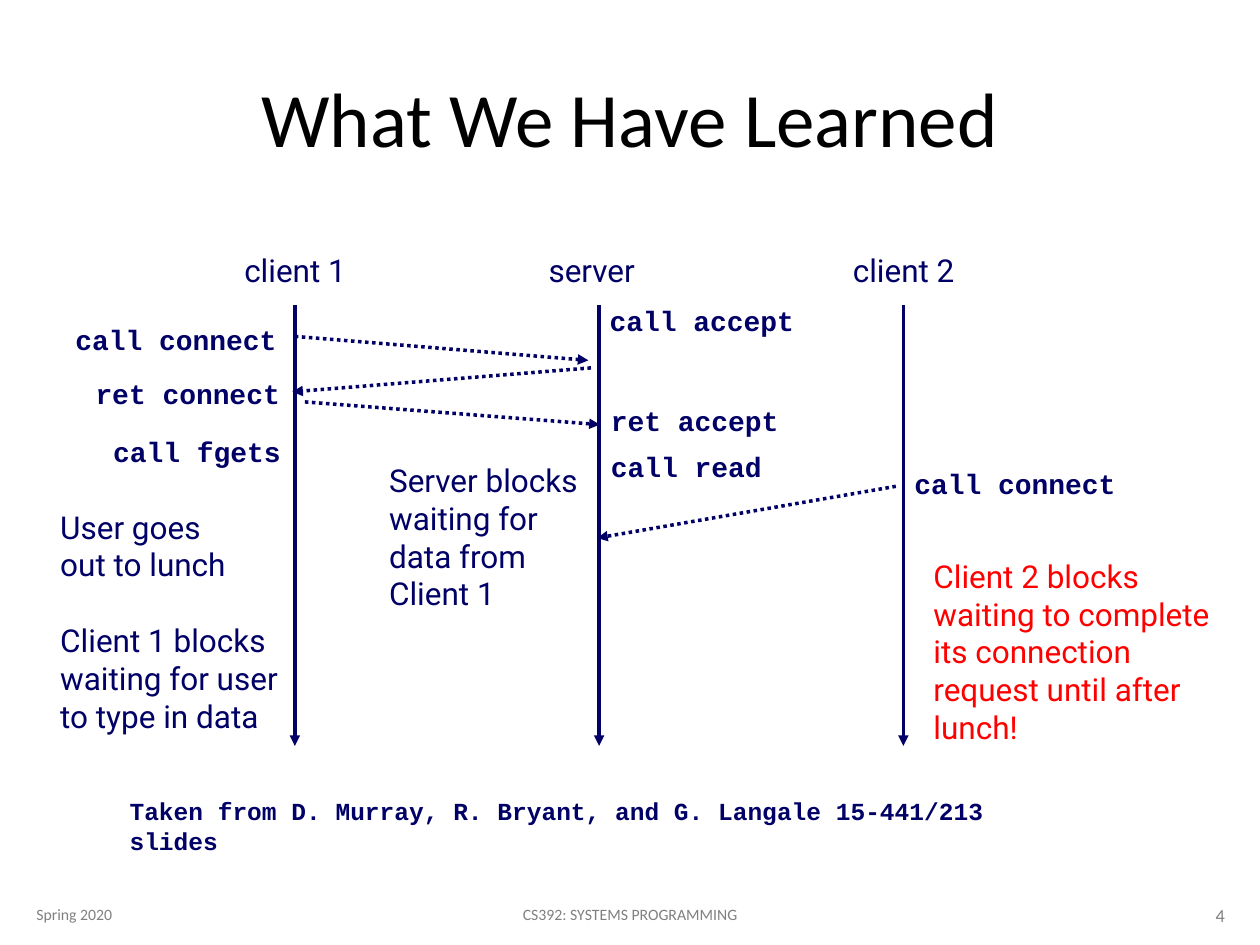
from lxml import etree
from pptx import Presentation
from pptx.dml.color import RGBColor
from pptx.enum.dml import MSO_LINE
from pptx.enum.shapes import MSO_CONNECTOR
from pptx.enum.text import MSO_ANCHOR, MSO_AUTO_SIZE, PP_ALIGN
from pptx.oxml.ns import qn
from pptx.util import Inches, Pt

STRAIGHT = MSO_CONNECTOR.STRAIGHT
DOTTED = MSO_LINE.ROUND_DOT
TOP, MIDDLE = MSO_ANCHOR.TOP, MSO_ANCHOR.MIDDLE
LEFT, CENTER, RIGHT = PP_ALIGN.LEFT, PP_ALIGN.CENTER, PP_ALIGN.RIGHT
NO_AUTOFIT = MSO_AUTO_SIZE.NONE

CELL = 0.1  # the slide is a grid of 100 columns by 75 rows
COLUMNS, ROWS = 100, 75
LINE_HEIGHT = 3  # rows per line of body text
NAVY, RED, BLACK, GRAY = "000066", "FF0000", "000000", "808080"
BODY, CODE, HEADING = "Roboto", "Courier New", "Calibri"


def grid(cells):
    return Inches(cells * CELL)


def color(hex_string):
    return RGBColor.from_string(hex_string)


class SequenceSlide:
    """Draws the parts of a sequence diagram on one title-only slide."""

    def __init__(self, presentation):
        self.slide = presentation.slides.add_slide(presentation.slide_layouts[5])

    def set_text(self, shape, text, font, size, hex_color, align=LEFT,
                 anchor=TOP, bold=False, wrap=False):
        frame = shape.text_frame
        frame.text = text
        frame.word_wrap = wrap
        frame.auto_size = NO_AUTOFIT
        frame.vertical_anchor = anchor
        for paragraph in frame.paragraphs:
            paragraph.alignment = align
            for run in paragraph.runs:
                run.font.name = font
                run.font.size = Pt(size)
                run.font.bold = bold
                run.font.color.rgb = color(hex_color)

    def box(self, left, top, width, height, *style, **options):
        shape = self.slide.shapes.add_textbox(*map(grid, (left, top, width, height)))
        self.set_text(shape, *style, **options)
        return shape

    def title(self, text):
        shape = self.slide.shapes.title
        shape.left, shape.top, shape.width, shape.height = map(grid, (5, 3, 90, 12.5))
        self.set_text(shape, text, HEADING, 44, BLACK, CENTER, MIDDLE, wrap=True)

    def arrow(self, start, end, dotted=False):
        connector = self.slide.shapes.add_connector(STRAIGHT, *map(grid, start + end))
        connector.line.color.rgb = color(NAVY)
        connector.line.width = Pt(2)
        if dotted:
            connector.line.dash_style = DOTTED
        properties = connector._element.spPr
        etree.SubElement(properties.find(qn("a:ln")), qn("a:tailEnd"), type="triangle")
        etree.SubElement(properties, qn("a:effectLst"))

    def lifeline(self, name, column, width):
        self.arrow((column, 24.2), (column, 59.2))
        self.box(column - 5, 19.4, width, 4, name, BODY, 18, NAVY)

    def call(self, text, left, top):
        """Code label whose width follows from its fixed-pitch letters."""
        width = 2.1 + 1.34 * len(text)
        self.box(left, top, width, 3.7, text, CODE, 16, NAVY, bold=True)

    def note(self, lines, left, top, width, hex_color=NAVY, gap_before=None):
        """Body text; gap_before is the index of a line set one line lower."""
        rows = len(lines) + (gap_before is not None)
        shape = self.box(left, top, width, 1 + LINE_HEIGHT * rows,
                         "\n".join(lines), BODY, 18, hex_color)
        if gap_before is not None:
            paragraph = shape.text_frame.paragraphs[gap_before]
            paragraph.space_before = grid(LINE_HEIGHT)

    def footer(self, text, left, width, size, align):
        self.box(left, 70.6, width, 4, text, HEADING, size, GRAY, align, MIDDLE, wrap=True)


def main():
    presentation = Presentation()
    presentation.slide_width, presentation.slide_height = grid(COLUMNS), grid(ROWS)
    diagram = SequenceSlide(presentation)
    diagram.title("What We Have Learned")

    for index, (name, width) in enumerate(
            [("client 1", 10.1), ("server", 9.2), ("client 2", 10.1)]):
        diagram.lifeline(name, 23.4 + 24.15 * index, width)

    for start, end in [
        ((23.4, 26.7), (46.7, 28.6)),
        ((46.9, 29.2), (23.2, 31.1)),
        ((24.2, 31.9), (47.6, 33.7)),
        ((71.1, 38.6), (47.4, 42.7)),
    ]:
        diagram.arrow(start, end, dotted=True)

    for text, left, top in [
        ("call connect", 5, 25.1),
        ("ret connect", 6.6, 29.4),
        ("call fgets", 8, 34),
        ("call accept", 47.4, 23.6),
        ("ret accept", 47.5, 31.5),
        ("call read", 47.5, 35.2),
        ("call connect", 71.6, 36.5),
    ]:
        diagram.call(text, left, top)

    diagram.note(["User goes", "out to lunch", "Client 1 blocks",
                  "waiting for user", "to type in data"], 3.8, 39.8, 19.6, gap_before=2)
    diagram.note(["Server blocks", "waiting for", "data from", "Client 1"],
                 29.9, 36.1, 17.4)
    diagram.note(["Client 2 blocks", "waiting to complete", "its connection",
                  "request until after", "lunch!"], 73.1, 43.7, 24, RED)

    diagram.box(9.3, 62.7, 76.5, 5.5,
                "Taken from D. Murray, R. Bryant, and G. Langale 15-441/213 slides",
                CODE, 14, NAVY, bold=True, wrap=True)

    diagram.footer("Spring 2020", 1.9, 20.3, 9, LEFT)
    diagram.footer("CS392: SYSTEMS PROGRAMMING", 30.2, 39.6, 9, CENTER)
    diagram.footer("4", 87.4, 10.8, 10.5, RIGHT)
    presentation.save("out.pptx")


if __name__ == "__main__":
    main()
